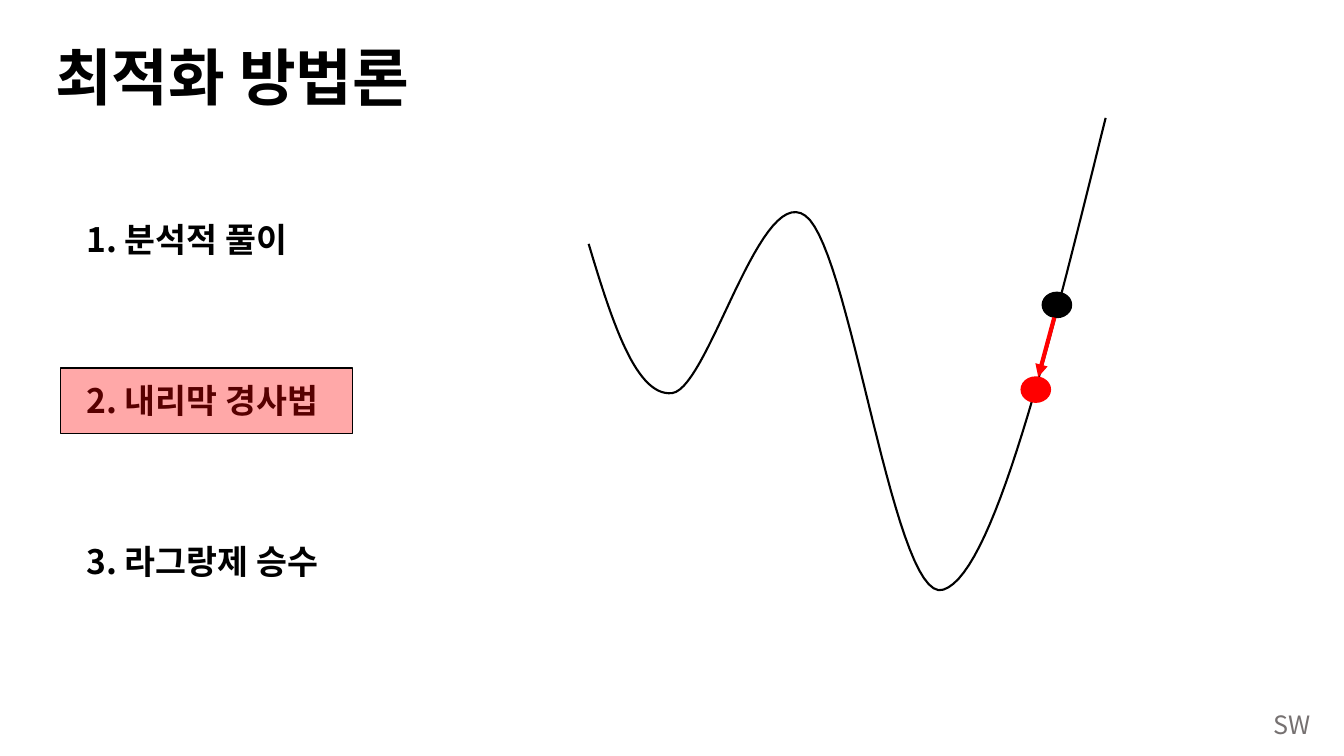
from lxml import etree
from pptx import Presentation
from pptx.dml.color import RGBColor
from pptx.enum.shapes import MSO_CONNECTOR, MSO_SHAPE
from pptx.enum.text import MSO_ANCHOR
from pptx.oxml.ns import qn
from pptx.util import Pt

OVAL = MSO_SHAPE.OVAL
RECT = MSO_SHAPE.RECTANGLE
STRAIGHT = MSO_CONNECTOR.STRAIGHT
TOP, MIDDLE = MSO_ANCHOR.TOP, MSO_ANCHOR.MIDDLE
SANS, SERIF = "Noto Sans CJK KR", "Times New Roman"
BLACK, RED, GRAY = "000000", "FF0000", "767171"


def color(value):
    return RGBColor.from_string(value)


class SlideBuilder:
    def __init__(self, slide):
        self.shapes = slide.shapes

    def text(self, box, lines, size, fill=BLACK, font=SANS, bold=False,
             anchor=TOP, wrap=False, spacing=None, gap=0):
        sp = self.shapes.add_textbox(*map(Pt, box))
        tf = sp.text_frame
        tf.word_wrap = wrap
        tf.vertical_anchor = anchor
        for i, line in enumerate(lines):
            p = tf.add_paragraph() if i else tf.paragraphs[0]
            p.line_spacing = spacing
            if i:
                p.space_before = Pt(gap)
            r = p.add_run()
            r.text = line
            r.font.name = font
            r.font.size = Pt(size)
            r.font.bold = bold
            r.font.color.rgb = color(fill)
            ea = etree.SubElement(r.font._element, qn("a:ea"))
            ea.set("typeface", SANS)

    def shape(self, kind, box, fill, line, alpha=None):
        sp = self.shapes.add_shape(kind, *map(Pt, box))
        sp.shadow.inherit = False
        sp.fill.solid()
        sp.fill.fore_color.rgb = color(fill)
        sp.line.color.rgb = color(line)
        sp.line.width = Pt(1)
        if alpha:
            clr = sp._element.spPr.find(f"{qn('a:solidFill')}/{qn('a:srgbClr')}")
            etree.SubElement(clr, qn("a:alpha")).set("val", str(alpha * 1000))

    def curve(self, start, segments, line, width, steps=30):
        points = []
        p0 = start
        for p1, p2, p3 in segments:
            for i in range(1, steps + 1):
                t = i / steps
                u = 1 - t
                points.append(tuple(
                    Pt(u**3 * a + 3 * u * u * t * b + 3 * u * t * t * c + t**3 * d)
                    for a, b, c, d in zip(p0, p1, p2, p3)))
            p0 = p3
        fb = self.shapes.build_freeform(*map(Pt, start))
        fb.add_line_segments(points, close=False)
        sp = fb.convert_to_shape()
        sp.shadow.inherit = False
        sp.fill.background()
        sp.line.color.rgb = color(line)
        sp.line.width = Pt(width)

    def arrow(self, start, end, line, width):
        cn = self.shapes.add_connector(STRAIGHT, *map(Pt, start + end))
        cn.line.color.rgb = color(line)
        cn.line.width = Pt(width)
        etree.SubElement(cn.line._get_or_add_ln(), qn("a:tailEnd")).set("type", "triangle")
        etree.SubElement(cn._element.spPr, qn("a:effectLst"))


def main():
    prs = Presentation()
    prs.slide_width, prs.slide_height = Pt(960), Pt(540)
    s = SlideBuilder(prs.slides.add_slide(prs.slide_layouts[6]))

    s.text((902.9, 503.3, 41.8, 28.8), ["SW"], 18, GRAY)
    s.text((32.4, 5, 828, 104.4), ["최적화 방법론"], 44, font=SERIF,
           bold=True, anchor=MIDDLE, wrap=True, spacing=0.9)
    methods = ["분석적 풀이", "내리막 경사법", "라그랑제 승수"]
    s.text((54.7, 152.6, 197.3, 269.3),
           [f"{i}. {name}" for i, name in enumerate(methods, 1)],
           24, bold=True, spacing=Pt(28.8), gap=86.4)

    dot_w, dot_h = 20.9, 18
    s.shape(OVAL, (744.5, 208.8, dot_w, dot_h), BLACK, BLACK)
    s.shape(RECT, (43.2, 262.8, 208.8, 46.8), RED, BLACK, alpha=34)
    s.curve((420.5, 174.2), [
        ((437, 229), (454.3, 283.7), (480.2, 280.8)),
        ((506.2, 277.2), (542.9, 130.3), (575.3, 154.1)),
        ((607.7, 177.1), (638.6, 433.4), (673.9, 421.2)),
        ((709.9, 409.7), (749.5, 247), (789.8, 84.2)),
    ], BLACK, 1.5)
    s.arrow((753.1, 226.8), (741.6, 269.3), RED, 3)
    s.shape(OVAL, (729.4, 269.3, dot_w, dot_h), RED, RED)

    prs.save("out.pptx")


if __name__ == "__main__":
    main()
